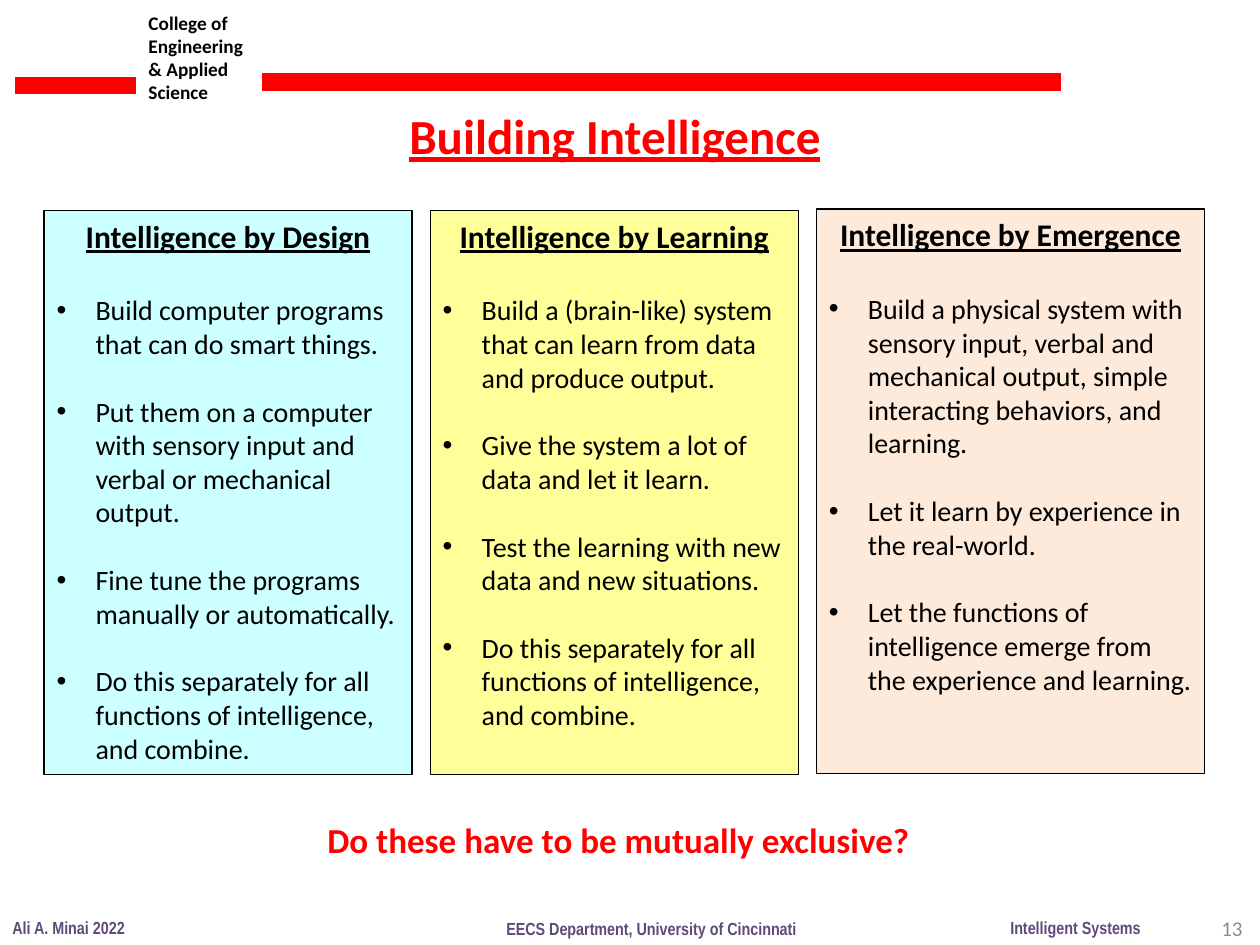
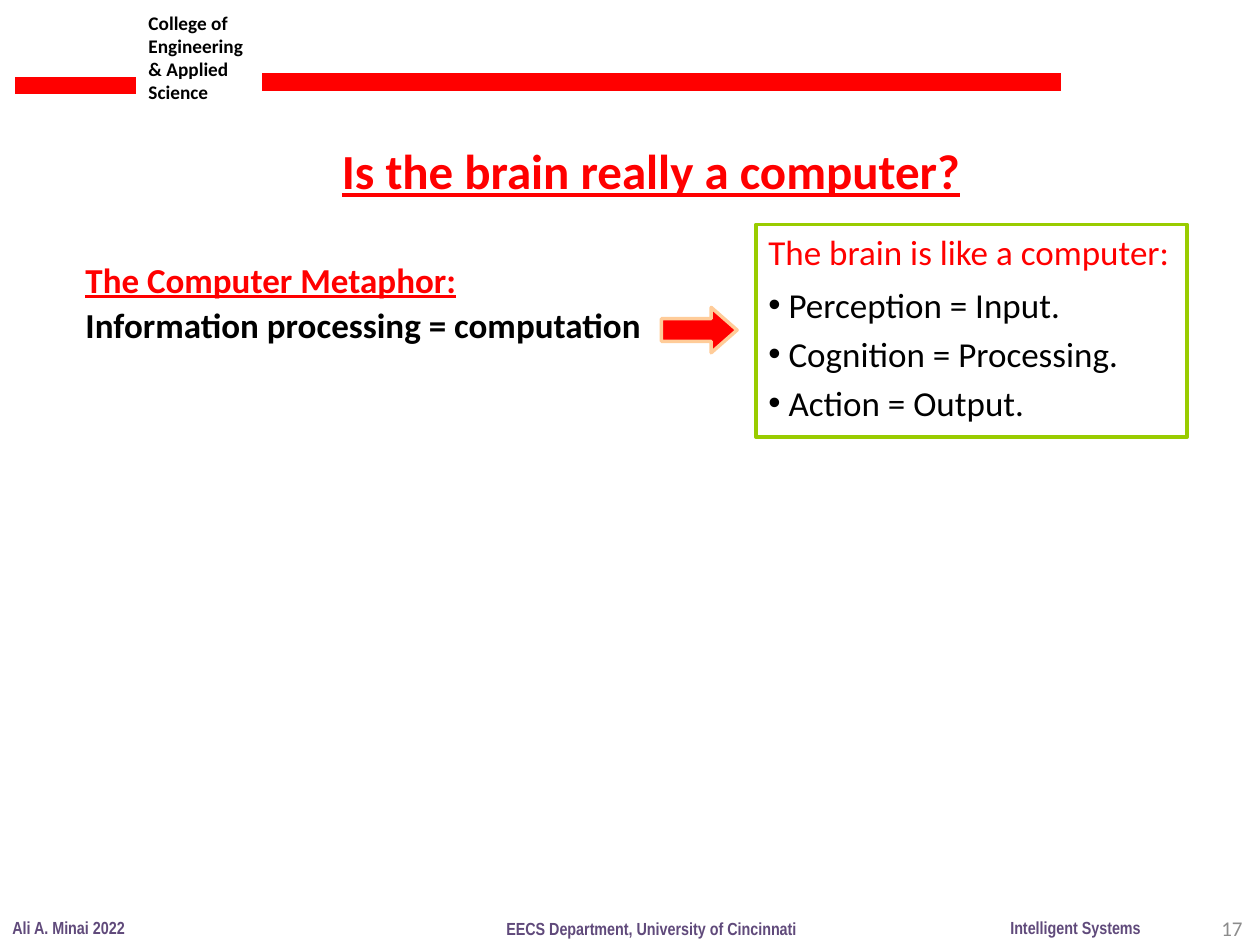
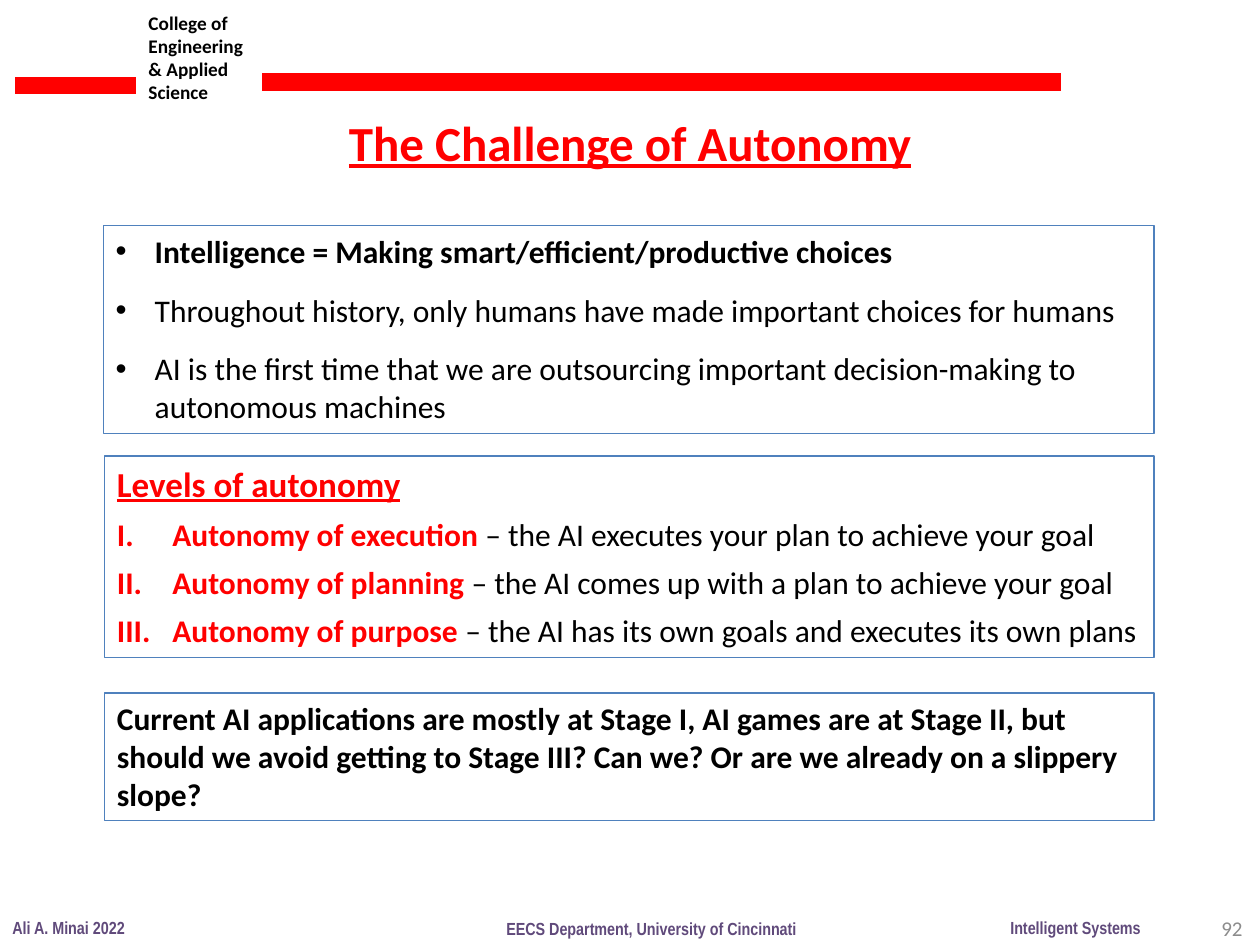
from dataclasses import dataclass, replace

from lxml import etree
from pptx import Presentation
from pptx import util as u
from pptx.dml.color import RGBColor
from pptx.enum import shapes, text
from pptx.oxml import ns


class Theme:
    face, narrow = "Calibri", "Arial Narrow"
    black, red, purple, gray = "000000", "FF0000", "604A7B", "8C8C8C"
    cyan, yellow, peach = "CCFFFF", "FFFF99", "FDEADA"
    lime, blue, sand = "99CC00", "4F81BD", "FFCC99"
    title, lead, body, small = 28, 20, 18, 16
    page, tag, foot = 12, 11, 10
    thin, thick, band = 0.75, 2, 10


@dataclass(frozen=True)
class Style:
    size: float = Theme.body
    color: str = Theme.black
    bold: bool = False
    under: bool = False
    face: str = Theme.face


@dataclass(frozen=True)
class Para:
    runs: tuple  # (words, style) pairs
    gap: float = 0
    mark: str = ""  # "dot" or "roman"
    hang: float = 0
    align: object = text.PP_ALIGN.LEFT


PLAIN = Style()
BOLD = Style(bold=True)
SMALL = Style(Theme.small)
LEAD = Style(Theme.lead)
ASK = Style(Theme.lead, Theme.red, True)
HEAD = replace(ASK, under=True)
TITLE = replace(HEAD, size=Theme.title)
TAG = Style(Theme.tag, bold=True)
FOOT = Style(Theme.foot, Theme.purple, True, face=Theme.narrow)
PAGE = Style(Theme.page, Theme.gray)
MID = text.PP_ALIGN.CENTER


def para(words, style, **kind):
    return Para(((words, style),), **kind)


def inch(box):
    return [u.Inches(n) for n in box]


def write(shape, paras, wrap=True):
    """Fill a shape's frame with paragraphs, run by run."""
    frame = shape.text_frame
    frame.word_wrap = wrap
    frame.vertical_anchor = text.MSO_ANCHOR.TOP
    if not wrap:
        frame.auto_size = text.MSO_AUTO_SIZE.SHAPE_TO_FIT_TEXT
    for n, item in enumerate(paras):
        p = frame.add_paragraph() if n else frame.paragraphs[0]
        p.alignment = item.align
        p.space_before = u.Pt(item.gap)
        if item.mark:
            props = p._p.get_or_add_pPr()
            props.set("marL", str(u.Inches(item.hang)))
            props.set("indent", str(-u.Inches(item.hang)))
            if item.mark == "dot":
                font = etree.SubElement(props, ns.qn("a:buFont"))
                font.set("typeface", "Arial")
                etree.SubElement(props, ns.qn("a:buChar")).set("char", "•")
            else:
                auto = etree.SubElement(props, ns.qn("a:buAutoNum"))
                auto.set("type", "romanUcPeriod")
        for words, style in item.runs:
            run = p.add_run()
            run.text = words
            font = run.font
            font.name, font.size = style.face, u.Pt(style.size)
            font.bold, font.underline = style.bold, style.under
            font.color.rgb = RGBColor.from_string(style.color)
    return frame


def label(slide, box, paras, wrap=True):
    return write(slide.shapes.add_textbox(*inch(box)), paras, wrap)


def block(slide, box, line, width=Theme.thin, fill=None,
          kind=shapes.MSO_SHAPE.RECTANGLE):
    shape = slide.shapes.add_shape(kind, *inch(box))
    shape.shadow.inherit = False
    if fill:
        shape.fill.solid()
        shape.fill.fore_color.rgb = RGBColor.from_string(fill)
    else:
        shape.fill.background()
    shape.line.color.rgb = RGBColor.from_string(line)
    shape.line.width = u.Pt(width)
    return shape


def band(slide, left, right, y):
    line = slide.shapes.add_connector(
        shapes.MSO_CONNECTOR.STRAIGHT, *inch((left, y, right, y)))
    line.line.color.rgb = RGBColor.from_string(Theme.red)
    line.line.width = u.Pt(Theme.band)
    etree.SubElement(line._element.spPr, ns.qn("a:effectLst"))


def base(deck, page):
    """Start a slide with the shared header and footer."""
    slide = deck.slides.add_slide(deck.slide_layouts[6])
    # Header
    label(slide, (1.08, 0.04, 1.09, 0.84),
          [para("College of Engineering & Applied", TAG), para("Science", TAG)])
    band(slide, 0.12, 1.08, 0.68)
    band(slide, 2.08, 8.42, 0.65)
    # Footer
    frame = label(slide, (7.63, 7.17, 2.33, 0.4),
                  [para(str(page), PAGE, align=text.PP_ALIGN.RIGHT)])
    frame.vertical_anchor = text.MSO_ANCHOR.MIDDLE
    for words, left, top, wide in (
            ("Ali A. Minai 2022", 0, 7.23, 1.1),
            ("Intelligent Systems", 7.92, 7.23, 1.24),
            ("EECS Department, University of Cincinnati", 3.92, 7.24, 2.52)):
        label(slide, (left, top, wide, 0.27), [para(words, FOOT)], False)
    return slide


def title(slide, words, left, top, wide=6.08):
    label(slide, (left, top, wide, 0.57), [para(words, TITLE, align=MID)])


def panel(slide, box, fill, head, points):
    """Coloured column: centred heading over spaced bullets."""
    paras = [para(head, Style(bold=True, under=True), align=MID)]
    for n, point in enumerate(points):
        paras.append(para(point, SMALL, gap=19.5 if n else 22,
                          mark="dot", hang=0.31))
    write(block(slide, box, Theme.black, fill=fill), paras)


def build(deck):
    slide = base(deck, 13)
    combine = ("Do this separately for all functions of intelligence, "
               "and combine.")
    # Three ways to build
    ways = (
        ("Design", Theme.cyan, 1.67, 2.92, (
            "Build computer programs that can do smart things.",
            "Put them on a computer with sensory input and verbal or "
            "mechanical output.",
            "Fine tune the programs manually or automatically.",
            combine)),
        ("Learning", Theme.yellow, 1.67, 2.92, (
            "Build a (brain-like) system that can learn from data and "
            "produce output.",
            "Give the system a lot of data and let it learn.",
            "Test the learning with new data and new situations.",
            combine)),
        ("Emergence", Theme.peach, 1.66, 3.08, (
            "Build a physical system with sensory input, verbal and "
            "mechanical output, simple interacting behaviors, and learning.",
            "Let it learn by experience in the real-world.",
            "Let the functions of intelligence emerge from the experience "
            "and learning.")))
    left = 0.35
    for name, fill, top, wide, points in ways:
        panel(slide, (left, top, wide, 4.48), fill,
              f"Intelligence by {name}", points)
        left += wide + 0.145
    # Closing question
    label(slide, (2.5, 6.45, 4.86, 0.44),
          [para("Do these have to be mutually exclusive?", ASK)], False)
    title(slide, "Building Intelligence", 1.84, 0.79)


def brain(deck):
    slide = base(deck, 17)
    # Metaphor and arrow
    label(slide, (0.58, 2.36, 4.71, 0.44),
          [para("Information processing = computation", BOLD_LEAD)], False)
    arrow = block(slide, (5.25, 2.44, 0.6, 0.36), Theme.sand, Theme.thick,
                  Theme.red, shapes.MSO_SHAPE.RIGHT_ARROW)
    arrow.adjustments[0], arrow.adjustments[1] = 0.5, 0.57
    # Likeness box
    likes = [para("The brain is like a computer:",
                  replace(LEAD, color=Theme.red))]
    for words, gap in (("Perception = Input.", 6),
                       ("Cognition = Processing.", 4),
                       ("Action = Output.", 4)):
        likes.append(para(words, LEAD, gap=gap, mark="dot", hang=0.16))
    write(block(slide, (6, 1.78, 3.42, 1.69), Theme.lime, Theme.thick), likes)
    label(slide, (0.58, 2, 3.17, 0.44),
          [para("The Computer Metaphor:", HEAD)], False)
    title(slide, "Is the brain really a computer?", 2.58, 1.07, 5.17)


BOLD_LEAD = replace(LEAD, bold=True)


def choice(deck):
    slide = base(deck, 92)
    title(slide, "The Challenge of Autonomy", 1.96, 0.84)
    # Premises
    facts = (
        ("Intelligence = Making smart/efficient/productive choices", BOLD),
        ("Throughout history, only humans have made important choices for "
         "humans", PLAIN),
        ("AI is the first time that we are outsourcing important "
         "decision-making to autonomous machines", PLAIN))
    premise = [para(words, style, gap=12 if n else 0, mark="dot", hang=0.31)
               for n, (words, style) in enumerate(facts)]
    # Levels
    levels = [para("Levels of autonomy", HEAD)]
    for name, gist in (
            ("execution", "the AI executes your plan to achieve your goal"),
            ("planning", "the AI comes up with a plan to achieve your goal"),
            ("purpose", "the AI has its own goals and executes its own plans")):
        runs = ((f"Autonomy of {name} ", replace(BOLD, color=Theme.red)),
                (f"– {gist}", PLAIN))
        levels.append(Para(runs, gap=6, mark="roman", hang=0.44))
    # Closing question
    close = [para("Current AI applications are mostly at Stage I, AI games "
                  "are at Stage II, but should we avoid getting to Stage III? "
                  "Can we? Or are we already on a slippery slope?", BOLD)]
    for box, paras in (((0.82, 1.79, 8.34, 1.65), premise),
                       ((0.83, 3.62, 8.33, 1.6), levels),
                       ((0.83, 5.5, 8.33, 1.01), close)):
        write(block(slide, box, Theme.blue), paras)


def main():
    deck = Presentation()
    deck.slide_width, deck.slide_height = u.Inches(10), u.Inches(7.5)
    for make in (build, brain, choice):
        make(deck)
    deck.save("out.pptx")


if __name__ == "__main__":
    main()
